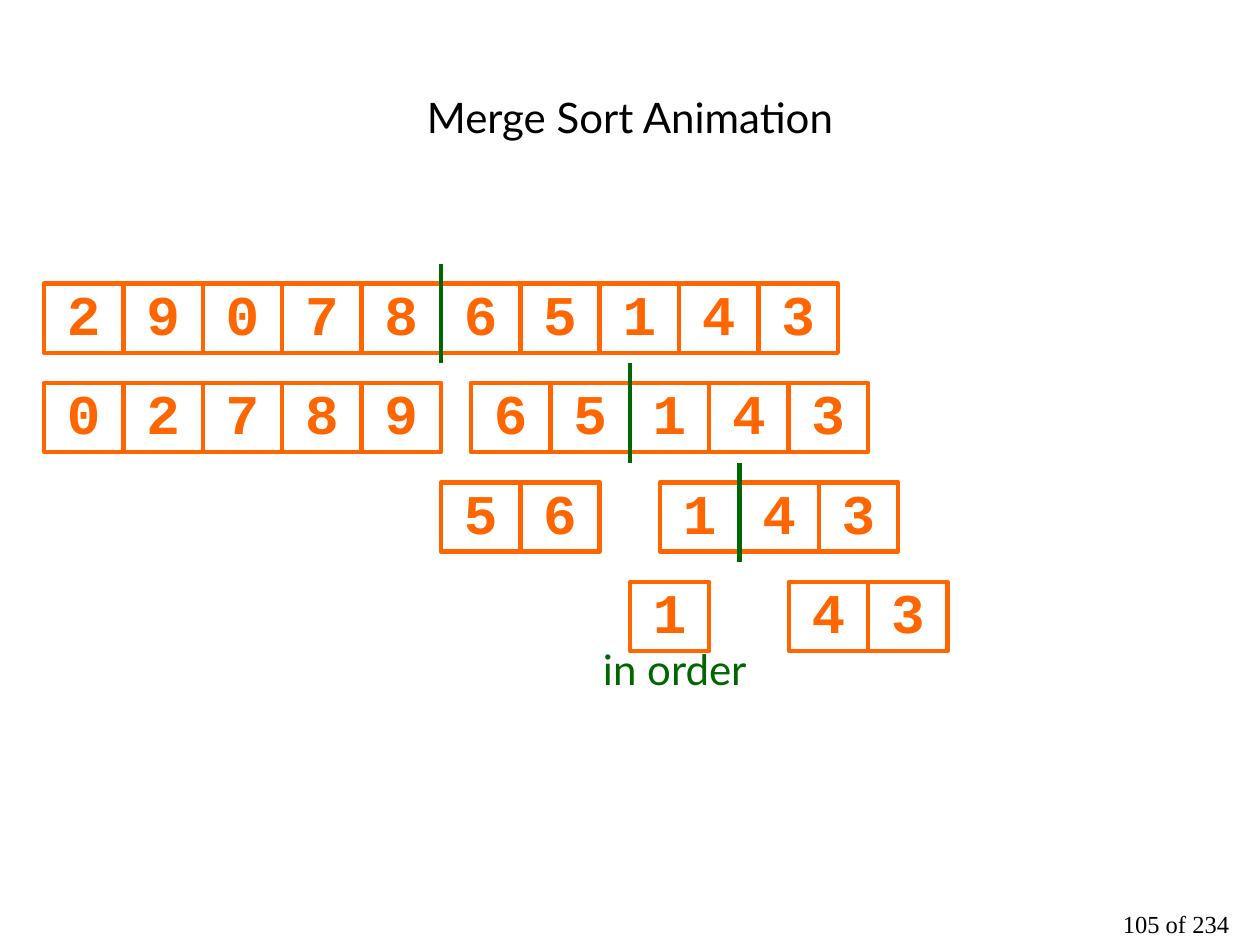
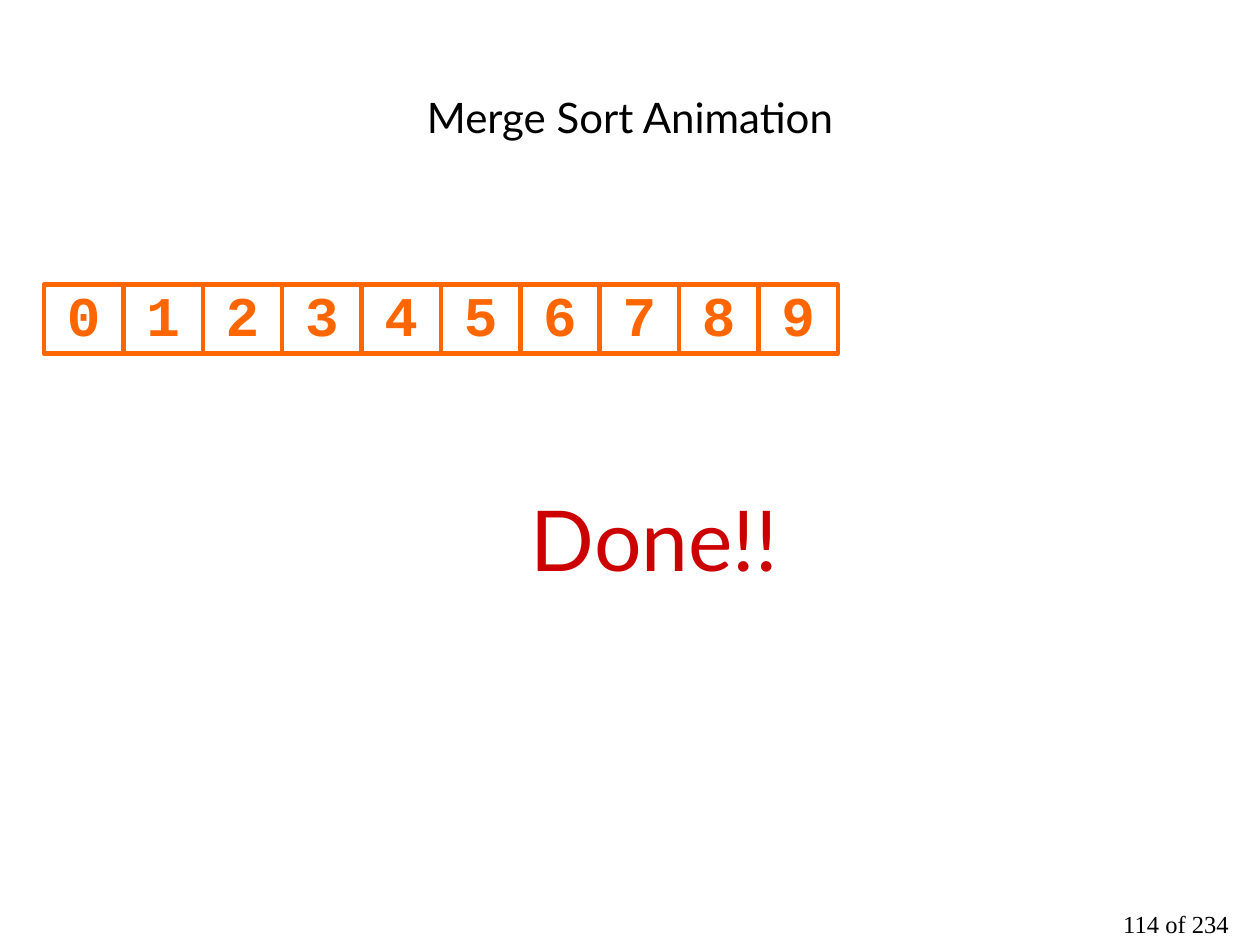
"""Build two steps of the merge sort animation."""
from dataclasses import dataclass

from lxml.etree import SubElement
from pptx import Presentation
from pptx.dml.color import RGBColor
from pptx.enum.shapes import MSO_CONNECTOR, MSO_SHAPE
from pptx.enum.text import MSO_ANCHOR, PP_ALIGN
from pptx.oxml.ns import qn
from pptx.util import Pt


@dataclass(frozen=True)
class TextStyle:
    font: str
    size: float
    color: RGBColor
    bold: bool = False
    line_spacing: float = 0.85


@dataclass(frozen=True)
class Theme:
    orange: RGBColor = RGBColor.from_string("FF6600")
    green: RGBColor = RGBColor.from_string("006600")
    red: RGBColor = RGBColor.from_string("CC0000")
    black: RGBColor = RGBColor.from_string("000000")
    line_width: float = 2.5
    title: TextStyle = TextStyle("Lato", 24, black, line_spacing=1.0)
    page: TextStyle = TextStyle("Times New Roman", 14, black, line_spacing=0.75)
    digit: TextStyle = TextStyle("Courier New", 32, orange, bold=True)
    note: TextStyle = TextStyle("Lato", 24, green)
    finish: TextStyle = TextStyle("Lato", 48, red)


THEME = Theme()
ARRAY_LEFT = 25.2
CELL_WIDTH = 45.36
CELL_HEIGHT = 39.6
ROW_STEP = 56.8
DIVIDER_RISE = 11.2

SPLIT_ROWS = [
    ([(ARRAY_LEFT, "2907865143")], 252),
    ([(ARRAY_LEFT, "02789"), (269.2, "65143")], 360),
    ([(252, "56"), (377.2, "143")], 422.56),
    ([(360, "1"), (450.8, "43")], None),
]


def write_text(shape, text, style, anchor=MSO_ANCHOR.TOP, margins=(0, 0)):
    """Fill a shape with one centred, styled paragraph."""
    frame = shape.text_frame
    frame.word_wrap = True
    frame.vertical_anchor = anchor
    frame.margin_left = frame.margin_right = Pt(margins[0])
    frame.margin_top = frame.margin_bottom = Pt(margins[1])
    frame.text = text
    paragraph = frame.paragraphs[0]
    paragraph.alignment = PP_ALIGN.CENTER
    paragraph.line_spacing = style.line_spacing
    font = paragraph.runs[0].font
    font.name = style.font
    font.size = Pt(style.size)
    font.bold = style.bold
    font.color.rgb = style.color


def add_label(slide, box, text, style, **layout):
    """Add a text box; box is left, top, width, height in points."""
    shape = slide.shapes.add_textbox(*map(Pt, box))
    write_text(shape, text, style, **layout)


def add_array(slide, left, top, digits):
    """Draw adjoining cells, one for each digit."""
    for index, digit in enumerate(digits):
        cell = slide.shapes.add_shape(
            MSO_SHAPE.RECTANGLE, Pt(left + index * CELL_WIDTH), Pt(top),
            Pt(CELL_WIDTH), Pt(CELL_HEIGHT))
        cell.shadow.inherit = False
        cell.fill.background()
        cell.line.color.rgb = THEME.orange
        cell.line.width = Pt(THEME.line_width)
        write_text(cell, digit, THEME.digit, anchor=MSO_ANCHOR.MIDDLE)


def add_divider(slide, x, row_top):
    """Draw the vertical line where a row is split."""
    top = row_top - DIVIDER_RISE
    line = slide.shapes.add_connector(
        MSO_CONNECTOR.STRAIGHT, Pt(x), Pt(top + ROW_STEP), Pt(x), Pt(top))
    line.line.color.rgb = THEME.green
    line.line.width = Pt(THEME.line_width)
    SubElement(line._element.spPr, qn("a:effectLst"))


def add_step(presentation, page):
    """Add a blank slide with the shared title and page count."""
    slide = presentation.slides.add_slide(presentation.slide_layouts[6])
    add_label(slide, (36, 21.6, 648, 90), "Merge Sort Animation", THEME.title,
              anchor=MSO_ANCHOR.MIDDLE, margins=(7.2, 3.6))
    add_label(slide, (624, 520, 96, 20), f"{page} of 234", THEME.page,
              margins=(7.2, 3.6))
    return slide


def add_split_step(presentation):
    """Show the array split down to its single cells."""
    slide = add_step(presentation, 105)
    for row, (arrays, divider) in enumerate(SPLIT_ROWS):
        top = 162 + row * ROW_STEP
        for left, digits in arrays:
            add_array(slide, left, top, digits)
        if divider is not None:
            add_divider(slide, divider, top)
    add_label(slide, (320.4, 372.2, 130.3, 24.5), "in order", THEME.note)


def add_done_step(presentation):
    """Show the sorted array."""
    slide = add_step(presentation, 114)
    add_array(slide, ARRAY_LEFT, 162.5, "0123456789")
    add_label(slide, (252, 287.3, 244, 49), "Done!!", THEME.finish)


def main():
    """Build and save the presentation."""
    presentation = Presentation()
    presentation.slide_width = Pt(720)
    presentation.slide_height = Pt(540)
    add_split_step(presentation)
    add_done_step(presentation)
    presentation.save("out.pptx")


if __name__ == "__main__":
    main()
